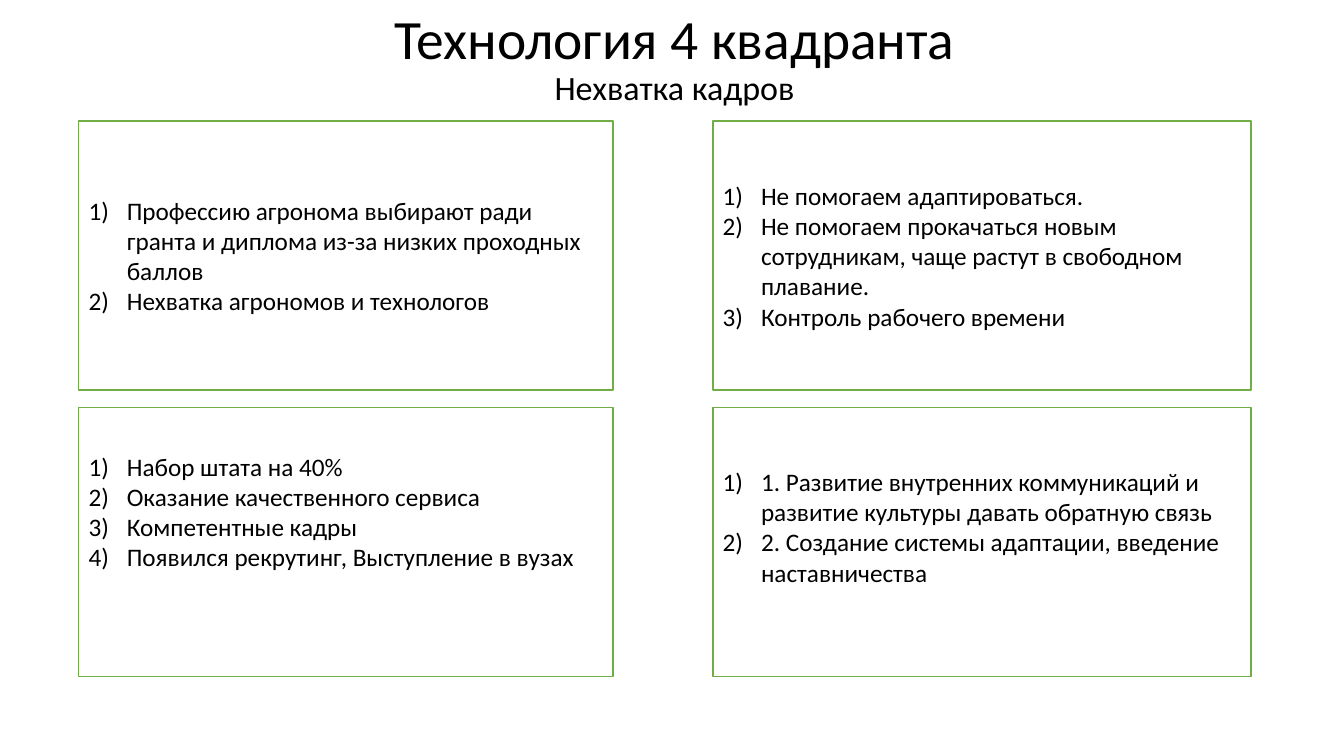
from lxml import etree
from pptx import Presentation
from pptx.dml.color import RGBColor
from pptx.enum import shapes, text
from pptx.oxml.ns import qn
from pptx.util import Inches, Pt

# Content
HEAD = "Технология 4 квадранта"
TOPIC = "Нехватка кадров"
# Rows of quadrants: (space kept free under the text, items)
QUADS = [
    [
        (0, ["Профессию агронома выбирают ради гранта и диплома "
             "из-за низких проходных баллов",
             "Нехватка агрономов и технологов"]),
        (0, ["Не помогаем адаптироваться.",
             "Не помогаем прокачаться новым сотрудникам, "
             "чаще растут в свободном плавание.",
             "Контроль рабочего времени"]),
    ],
    [
        (0.6, ["Набор штата на 40%",
               "Оказание качественного сервиса",
               "Компетентные кадры",
               "Появился рекрутинг, Выступление в вузах"]),
        (0.3, ["1. Развитие внутренних коммуникаций и развитие "
               "культуры давать обратную связь",
               "2. Создание системы адаптации, введение наставничества"]),
    ],
]

# Style and grid
FONT = "Calibri"
BLACK = RGBColor(0x00, 0x00, 0x00)
WHITE = RGBColor(0xFF, 0xFF, 0xFF)
GREEN = RGBColor(0x70, 0xAD, 0x47)
COLS = [(0.78, 5.3), (7.07, 5.34)]  # left, width
TOP, HIGH, GAP = 1.2, 2.67, 0.17
INDENT = Inches(0.38)


def add_run(para, words, size):
    run = para.add_run()
    run.text = words
    run.font.name = FONT
    run.font.size = Pt(size)
    run.font.color.rgb = BLACK


def number(para):
    props = para._p.get_or_add_pPr()
    props.set("marL", str(INDENT))
    props.set("indent", str(-INDENT))
    etree.SubElement(props, qn("a:buFont"), typeface="+mj-lt")
    etree.SubElement(props, qn("a:buAutoNum"), type="arabicParenR")


def add_quad(slide, left, top, width, free, items):
    box = slide.shapes.add_shape(
        shapes.MSO_SHAPE.RECTANGLE,
        Inches(left), Inches(top), Inches(width), Inches(HIGH))
    box.shadow.inherit = False
    box.fill.solid()
    box.fill.fore_color.rgb = WHITE
    box.line.color.rgb = GREEN
    box.line.width = Pt(1)
    frame = box.text_frame
    frame.word_wrap = True
    frame.vertical_anchor = text.MSO_ANCHOR.MIDDLE
    frame.margin_bottom = Inches(0.05 + free)
    for i, item in enumerate(items):
        para = frame.add_paragraph() if i else frame.paragraphs[0]
        para.alignment = text.PP_ALIGN.LEFT
        number(para)
        add_run(para, item, 18)


def add_title(slide):
    title = slide.shapes.title
    title.left, title.top = Inches(0.96), Inches(0.15)
    title.width, title.height = Inches(11.46), Inches(0.88)
    frame = title.text_frame
    frame.auto_size = text.MSO_AUTO_SIZE.NONE
    frame.vertical_anchor = text.MSO_ANCHOR.MIDDLE
    para = frame.paragraphs[0]
    para.alignment = text.PP_ALIGN.CENTER
    para.line_spacing = 0.9
    add_run(para, HEAD, 39.6)
    para.add_line_break()
    # The break takes the size of its own line
    etree.SubElement(para._p[-1], qn("a:rPr"), sz="3960")
    add_run(para, TOPIC, 24.3)


def main():
    deck = Presentation()
    deck.slide_width, deck.slide_height = Inches(13.33), Inches(7.5)
    slide = deck.slides.add_slide(deck.slide_layouts[5])
    add_title(slide)
    # Quadrants
    for row, pair in enumerate(QUADS):
        top = TOP + row * (HIGH + GAP)
        for (left, width), (free, items) in zip(COLS, pair):
            add_quad(slide, left, top, width, free, items)
    deck.save("out.pptx")


if __name__ == "__main__":
    main()
